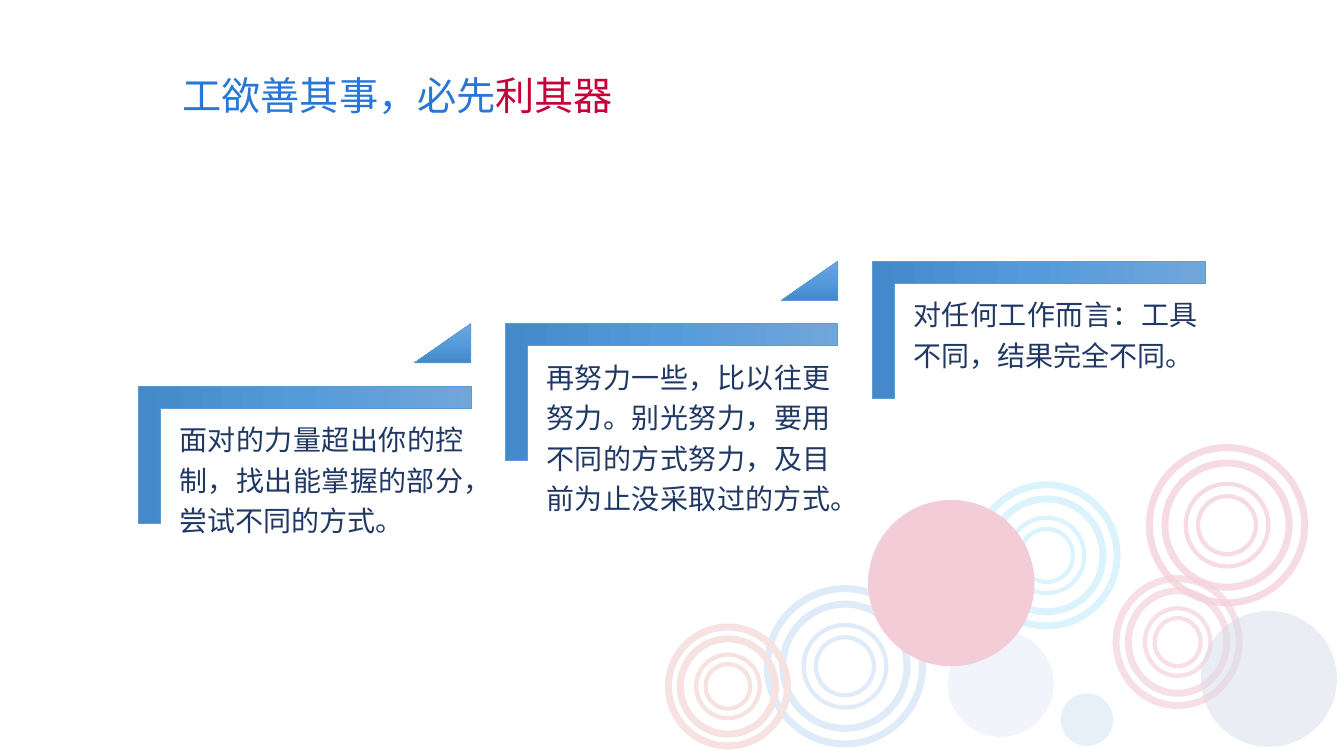
from copy import deepcopy
from lxml import etree
from pptx import Presentation
from pptx.dml.color import RGBColor
from pptx.enum import shapes, text
from pptx.oxml.ns import qn
from pptx.util import Inches, Pt

FONT = "Noto Sans CJK SC"
BLUE = RGBColor(0x27, 0x77, 0xD8)
RED = RGBColor(0xC6, 0x01, 0x39)
ROSE = RGBColor(0xC5, 0x1C, 0x49)
CORAL = RGBColor(0xD1, 0x6E, 0x6B)
CYAN = RGBColor(0x00, 0xB0, 0xF0)
PALE = RGBColor(0x8F, 0xAA, 0xDC)
DEEP = RGBColor(0x2F, 0x55, 0x97)
AZURE = RGBColor(0x00, 0x70, 0xC0)
NAVY = RGBColor(0x20, 0x38, 0x64)
EDGE = RGBColor(0x5B, 0x9B, 0xD5)
WHITE = RGBColor(0xFF, 0xFF, 0xFF)
SHADES = [RGBColor(0x71, 0xA6, 0xDB), RGBColor(0x55, 0x9B, 0xDB),
          RGBColor(0x44, 0x8A, 0xCA)]

TITLE = [("工欲善其事，必先", BLUE), ("利其器", RED)]
STEPS = [
    "面对的力量超出你的控制，找出能掌握的部分，尝试不同的方式。",
    "再努力一些，比以往更努力。别光努力，要用不同的方式努力，及目前为止没采取过的方式。",
    "对任何工作而言：工具不同，结果完全不同。",
]
STEP_X, STEP_Y = 3.64, -0.62

# centre x, centre y, outer size, inner size, colour, opacity
RINGS = [
    (12.17, 5.21, (1.54, 1.54), (0.82, 0.82), RED, 70),
    (11.68, 6.37, (1.22, 1.26), (0.65, 0.67), ROSE, 70),
    (8.38, 6.61, (1.54, 1.54), (0.82, 0.82), BLUE, 70),
    (7.22, 6.81, (1.18, 1.18), (0.63, 0.63), CORAL, 100),
    (10.38, 5.51, (1.4, 1.4), (0.75, 0.75), CYAN, 70),
]
# left, top, size, colour, opacity
BACK_DISC = (9.4, 6.26, 1.05, PALE, 60)
DISCS = [
    (8.61, 4.96, 1.65, RED, 100),
    (11.91, 6.06, 1.35, DEEP, 50),
    (10.52, 6.88, 0.52, AZURE, 50),
]

deck = Presentation()
deck.slide_width, deck.slide_height = Inches(13.33), Inches(7.5)
slide = deck.slides.add_slide(deck.slide_layouts[5])
SHAPE = shapes.MSO_SHAPE


def fade(shape, alpha):
    """Set the opacity, in percent, of the shape's solid fill or line."""
    if alpha < 100:
        for color in shape._element.spPr.iter(qn("a:srgbClr")):
            etree.SubElement(color, qn("a:alpha")).set("val", str(alpha * 1000))


def add(kind, x, y, w, h, adj=()):
    shape = slide.shapes.add_shape(kind, *map(Inches, (x, y, w, h)))
    shape.shadow.inherit = False
    for i, value in enumerate(adj):
        shape.adjustments[i] = value
    return shape


def flat(shape, color, alpha):
    shape.fill.solid()
    shape.fill.fore_color.rgb = color
    shape.line.fill.background()
    fade(shape, alpha)


def shade(shape):
    """Fill with the three-stop blue gradient, top to bottom."""
    shape.fill.gradient()
    shape.fill.gradient_angle = 270
    stops = shape._element.spPr.find(qn("a:gradFill")).find(qn("a:gsLst"))
    stops.insert(1, deepcopy(stops[0]))
    for i, stop in enumerate(shape.fill.gradient_stops):
        stop.position = i / 2
        stop.color.rgb = SHADES[i]
    shape.line.color.rgb = EDGE
    shape.line.width = Pt(0.5)


def write(frame, runs, size, align, wrap=True, inset=0.1, lead=1.0):
    frame.word_wrap = wrap
    frame.vertical_anchor = text.MSO_ANCHOR.TOP
    frame.margin_left = frame.margin_right = Inches(inset)
    frame.margin_top = frame.margin_bottom = Inches(min(inset, 0.08))
    para = frame.paragraphs[0]
    para.alignment = align
    para.line_spacing = lead
    for words, color in runs:
        run = para.add_run()
        run.text = words
        run.font.size = Pt(size)
        run.font.name = FONT
        run.font.color.rgb = color
        east = etree.SubElement(run._r.get_or_add_rPr(), qn("a:ea"))
        east.set("typeface", FONT)


def ring(mid_x, mid_y, size, adj, width, color, alpha):
    w, h = size
    donut = add(SHAPE.DONUT, mid_x - w / 2, mid_y - h / 2, w, h, [adj])
    donut.fill.background()
    donut.line.color.rgb = color
    donut.line.width = Pt(width)
    fade(donut, alpha)


def disc(x, y, size, color, alpha):
    flat(add(SHAPE.OVAL, x, y, size, size), color, alpha)


def step(i, words):
    dx, dy = i * STEP_X, i * STEP_Y
    corner = add(SHAPE.CORNER, 2.34 + dx, 2.86 + dy, 1.36, 3.3, [0.161, 0.161])
    corner.rotation = 90
    shade(corner)
    box = slide.shapes.add_textbox(
        *map(Inches, (1.7 + dx, 4.05 + dy, 2.98, 1.8)))
    write(box.text_frame, [(words, NAVY)], 20, text.PP_ALIGN.JUSTIFY,
          inset=0.08, lead=1.2)
    if i < len(STEPS) - 1:
        shade(add(SHAPE.ISOSCELES_TRIANGLE, 4.11 + dx, 3.21 + dy,
                  0.56, 0.39, [1]))


disc(*BACK_DISC)
for mid_x, mid_y, outer, inner, color, alpha in RINGS:
    ring(mid_x, mid_y, inner, 0.149, 3, color, alpha)
    ring(mid_x, mid_y, outer, 0.1, 5, color, alpha)
for item in DISCS:
    disc(*item)
flat(add(SHAPE.RECTANGLE, 5.1, 2.61, 8.22, 4.88), WHITE, 80)

title = slide.shapes.title
title.left, title.top, title.width, title.height = map(
    Inches, (1.71, 0.63, 4.52, 0.57))
write(title.text_frame, TITLE, 28, text.PP_ALIGN.LEFT, wrap=False)
title.text_frame.auto_size = text.MSO_AUTO_SIZE.NONE

for i, words in enumerate(STEPS):
    step(i, words)

deck.save("out.pptx")
